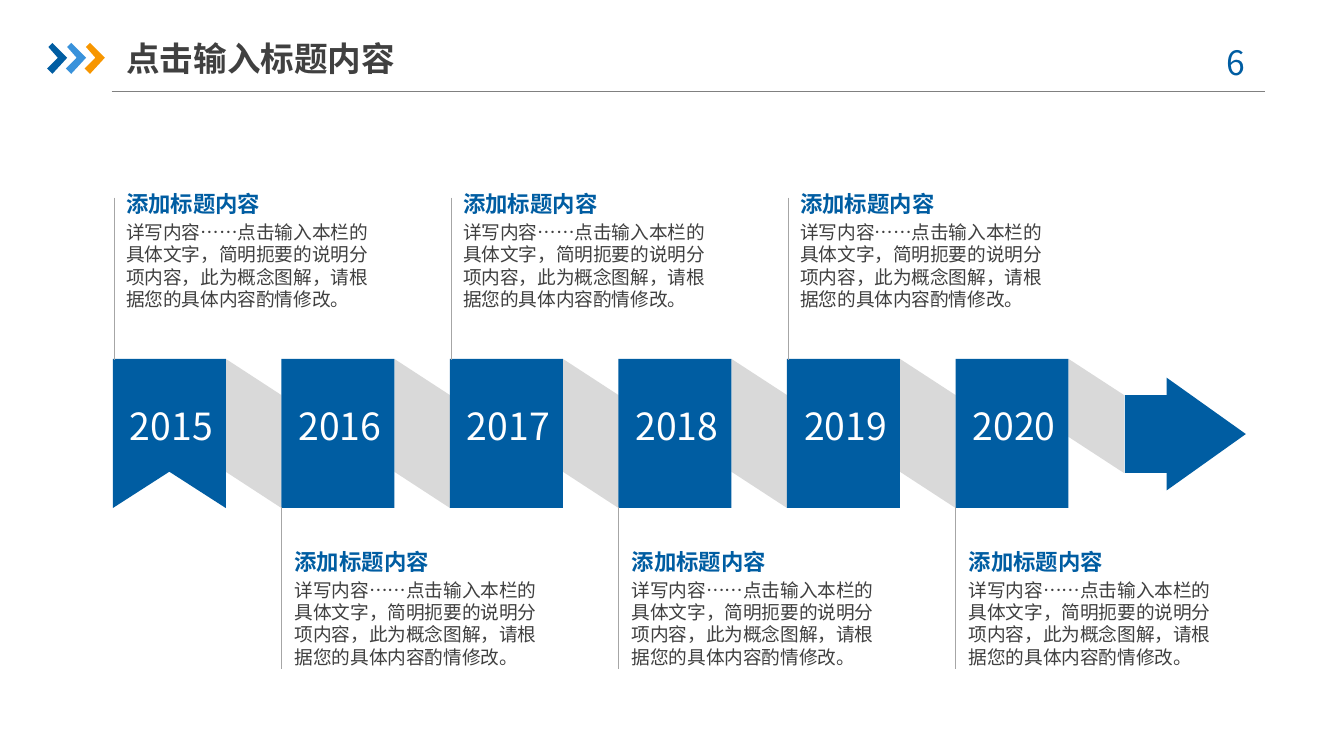
from dataclasses import dataclass

from lxml import etree
from pptx import Presentation
from pptx import util as u
from pptx.dml.color import RGBColor
from pptx.enum import shapes, text
from pptx.oxml import ns


@dataclass(frozen=True)
class Theme:
    font: str = "Noto Sans CJK SC"
    blue: str = "005DA2"
    sky: str = "3992DB"
    orange: str = "F79600"
    dark: str = "404040"
    rule: str = "808080"
    stem: str = "A6A6A6"
    band: str = "D9D9D9"
    white: str = "FFFFFF"
    title: int = 18
    year: int = 20
    heading: int = 12
    body: int = 10


def write(p, words, size, color, bold=False, align=text.PP_ALIGN.LEFT,
          before=0, spacing=None, font=Theme.font):
    """Put one formatted run into a paragraph."""
    p.alignment = align
    p.space_before = u.Pt(before)
    if spacing:
        p.line_spacing = u.Pt(spacing)
    r = p.add_run()
    r.text = words
    r.font.size, r.font.bold, r.font.name = u.Pt(size), bold, font
    r.font.color.rgb = RGBColor.from_string(color)
    ea = etree.SubElement(r.font._element, ns.qn("a:ea"))
    ea.set("typeface", font)


class Builder:
    def __init__(self, prs, theme):
        self.theme = theme
        self.s = prs.slides.add_slide(prs.slide_layouts[5])

    def paint(self, sp, color):
        sp.shadow.inherit = False
        sp.fill.solid()
        sp.fill.fore_color.rgb = RGBColor.from_string(color)
        sp.line.fill.background()

    def polygon(self, points, color):
        first, *rest = [(u.Inches(x), u.Inches(y)) for x, y in points]
        fb = self.s.shapes.build_freeform(*first)
        fb.add_line_segments(rest, close=True)
        self.paint(fb.convert_to_shape(), color)

    def rect(self, x, y, w, h, color):
        sp = self.s.shapes.add_shape(
            shapes.MSO_SHAPE.RECTANGLE, *map(u.Inches, (x, y, w, h)))
        self.paint(sp, color)

    def line(self, x1, y1, x2, y2, color):
        c = self.s.shapes.add_connector(
            shapes.MSO_CONNECTOR.STRAIGHT, *map(u.Inches, (x1, y1, x2, y2)))
        c.line.color.rgb = RGBColor.from_string(color)
        c.line.width = u.Pt(0.75)
        etree.SubElement(c._element.spPr, ns.qn("a:effectLst"))

    def textbox(self, x, y, w, h, anchor=text.MSO_ANCHOR.TOP):
        tf = self.s.shapes.add_textbox(*map(u.Inches, (x, y, w, h))).text_frame
        tf.word_wrap = True
        tf.vertical_anchor = anchor
        return tf

    def title(self, words, x, y, w, h):
        sp = self.s.shapes.title
        sp.left, sp.top, sp.width, sp.height = map(u.Inches, (x, y, w, h))
        tf = sp.text_frame
        tf.auto_size = text.MSO_AUTO_SIZE.NONE
        tf.word_wrap = True
        tf.vertical_anchor = text.MSO_ANCHOR.MIDDLE
        tf.margin_left = tf.margin_right = 0
        write(tf.paragraphs[0], words, self.theme.title, self.theme.dark, bold=True)

    def note(self, x, y, heading, body):
        t = self.theme
        tf = self.textbox(x, y, 2.1, 1.02)
        write(tf.paragraphs[0], heading, t.heading, t.blue, bold=True,
              before=5, spacing=12)
        write(tf.add_paragraph(), body, t.body, t.dark, before=2, spacing=12)


YEARS = ["2015", "2016", "2017", "2018", "2019", "2020"]
HEADING = "添加标题内容"
BODY = ("详写内容……点击输入本栏的具体文字，简明扼要的说明分项内容，"
        "此为概念图解，请根据您的具体内容酌情修改。")

LEFT, TOP, BLOCK_W, BLOCK_H = 0.84, 2.67, 0.84, 1.11
PITCH = (7.11 - LEFT) / (len(YEARS) - 1)
BOTTOM = TOP + BLOCK_H
DROP = 0.27  # how far a fold slants down


def main():
    prs = Presentation()
    prs.slide_width = u.Inches(10)
    prs.slide_height = prs.slide_width * 9 // 16
    t = Theme()
    b = Builder(prs, t)
    center = text.PP_ALIGN.CENTER

    # Header: rule, chevrons, page number, title
    b.line(0.83, 0.68, 9.41, 0.68, t.rule)
    chevron = [(0.01, 0.35), (0.04, 0.32), (0.15, 0.43),
               (0.04, 0.55), (0, 0.51), (0.08, 0.43)]
    for i, color in enumerate((t.blue, t.sky, t.orange)):
        b.polygon([(0.35 + 0.14 * i + x, y) for x, y in chevron], color)
    tf = b.textbox(8.86, 0.26, 0.73, 0.4)
    write(tf.paragraphs[0], "6 ", t.title, t.blue, align=center)
    b.title("点击输入标题内容", 0.94, 0.22, 2.33, 0.42)

    columns = [LEFT + PITCH * i for i in range(len(YEARS))]

    # Grey folds between the blocks; the last one narrows to the arrow
    for x in columns:
        x1, x2 = x + BLOCK_W, x + PITCH
        shrink = 0.26 if x == columns[-1] else 0
        b.polygon([(x1, TOP), (x2, TOP + DROP), (x2, BOTTOM - shrink),
                   (x1, BOTTOM - DROP - shrink)], t.band)

    # Arrow at the end of the ribbon
    b.polygon([(8.68, 3.65), (8.68, 3.52), (8.37, 3.52), (8.37, 2.94),
               (8.68, 2.94), (8.68, 2.81), (9.27, 3.23)], t.blue)

    # Year blocks, with notes above and below in turn
    for i, (x, year) in enumerate(zip(columns, YEARS)):
        if i == 0:
            b.polygon([(x, TOP), (x + BLOCK_W, TOP), (x + BLOCK_W, BOTTOM),
                       (x + BLOCK_W / 2, BOTTOM - DROP), (x, BOTTOM)], t.blue)
        else:
            b.rect(x, TOP, BLOCK_W, BLOCK_H, t.blue)
        tf = b.textbox(x - 0.09, 2.8, 1.05, 0.74, text.MSO_ANCHOR.MIDDLE)
        write(tf.paragraphs[0], year, t.year, t.white, align=center, before=4)

        above = i % 2 == 0
        b.note(x, 1.4 if above else 4.06, HEADING, BODY)
        stem_top = 1.47 if above else 3.77
        stem_x = x + 0.01 if above else x
        b.line(stem_x, stem_top, stem_x, stem_top + 1.21, t.stem)

    prs.save("out.pptx")


if __name__ == "__main__":
    main()
